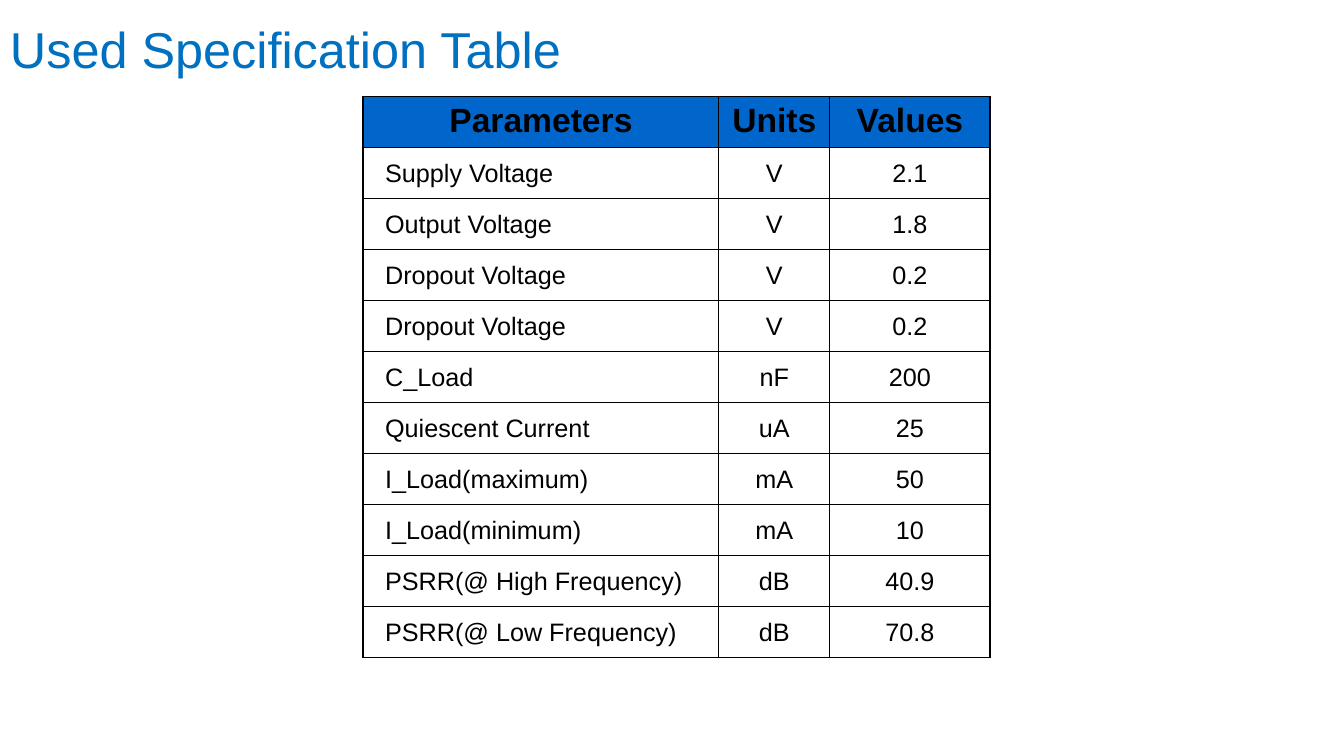
from dataclasses import dataclass

from lxml import etree
from pptx import Presentation
from pptx.dml.color import RGBColor
from pptx.enum import text as txt
from pptx.oxml import ns
from pptx.util import Inches, Pt

# Content
TITLE = "Used Specification Table"
HEADINGS = ("Parameters", "Units", "Values")
SPECIFICATIONS = [
    ("Supply Voltage", "V", "2.1"),
    ("Output Voltage", "V", "1.8"),
    ("Dropout Voltage", "V", "0.2"),
    ("Dropout Voltage", "V", "0.2"),
    ("C_Load", "nF", "200"),
    ("Quiescent Current", "uA", "25"),
    ("I_Load(maximum)", "mA", "50"),
    ("I_Load(minimum)", "mA", "10"),
    ("PSRR(@ High Frequency)", "dB", "40.9"),
    ("PSRR(@ Low Frequency)", "dB", "70.8"),
]
COLUMN_WIDTHS = (3.53, 1.1, 1.59)
ROW_HEIGHT = 0.506


@dataclass(frozen=True)
class Theme:
    font: str = "Arial"
    title_color: str = "0070C0"
    ink: str = "000000"
    heading_fill: str = "0066CC"
    title_size: int = 36
    heading_size: int = 24
    body_size: int = 18
    border: int = 1


THEME = Theme()


def write(frame, words, *, size, color=THEME.ink, bold=False,
          align=txt.PP_ALIGN.LEFT):
    paragraph = frame.paragraphs[0]
    paragraph.alignment = align
    run = paragraph.add_run()
    run.text = words
    run.font.name = THEME.font
    run.font.size = Pt(size)
    run.font.bold = bold
    run.font.color.rgb = RGBColor.from_string(color)


def add_borders(cell):
    properties = cell._tc.get_or_add_tcPr()
    for side in ("lnL", "lnR", "lnT", "lnB"):
        line = etree.SubElement(properties, ns.qn(f"a:{side}"),
                                w=str(Pt(THEME.border)))
        fill = etree.SubElement(line, ns.qn("a:solidFill"))
        etree.SubElement(fill, ns.qn("a:srgbClr"), val=THEME.ink)


def format_heading(cell, words):
    cell.fill.solid()
    cell.fill.fore_color.rgb = RGBColor.from_string(THEME.heading_fill)
    write(cell.text_frame, words, size=THEME.heading_size, bold=True,
          align=txt.PP_ALIGN.CENTER)


def format_entry(cell, words, is_parameter):
    cell.fill.background()
    cell.vertical_anchor = txt.MSO_ANCHOR.MIDDLE
    cell.margin_left = Inches(0.22 if is_parameter else 0.01)
    cell.margin_right = cell.margin_top = Inches(0.01)
    cell.margin_bottom = 0
    write(cell.text_frame, words, size=THEME.body_size,
          align=txt.PP_ALIGN.LEFT if is_parameter else txt.PP_ALIGN.CENTER)


def add_title(slide):
    title = slide.shapes.add_textbox(
        Inches(0), Inches(-0.01), Inches(13.21), Inches(0.97)).text_frame
    title.word_wrap = True
    title.vertical_anchor = txt.MSO_ANCHOR.MIDDLE
    write(title, TITLE, size=THEME.title_size, color=THEME.title_color)


def add_specifications(slide):
    rows = [HEADINGS, *SPECIFICATIONS]
    table = slide.shapes.add_table(
        len(rows), len(HEADINGS), Inches(3.6), Inches(0.96),
        Inches(sum(COLUMN_WIDTHS)), Inches(ROW_HEIGHT * len(rows))).table
    table.first_row = table.horz_banding = False
    for column, width in zip(table.columns, COLUMN_WIDTHS):
        column.width = Inches(width)
    for row_index, row in enumerate(rows):
        table.rows[row_index].height = Inches(ROW_HEIGHT)
        for column_index, words in enumerate(row):
            cell = table.cell(row_index, column_index)
            add_borders(cell)
            if row_index == 0:
                format_heading(cell, words)
            else:
                format_entry(cell, words, column_index == 0)


def main():
    deck = Presentation()
    deck.slide_width, deck.slide_height = Inches(13.33), Inches(7.5)
    slide = deck.slides.add_slide(deck.slide_layouts[6])
    add_title(slide)
    add_specifications(slide)
    deck.save("out.pptx")


if __name__ == "__main__":
    main()
